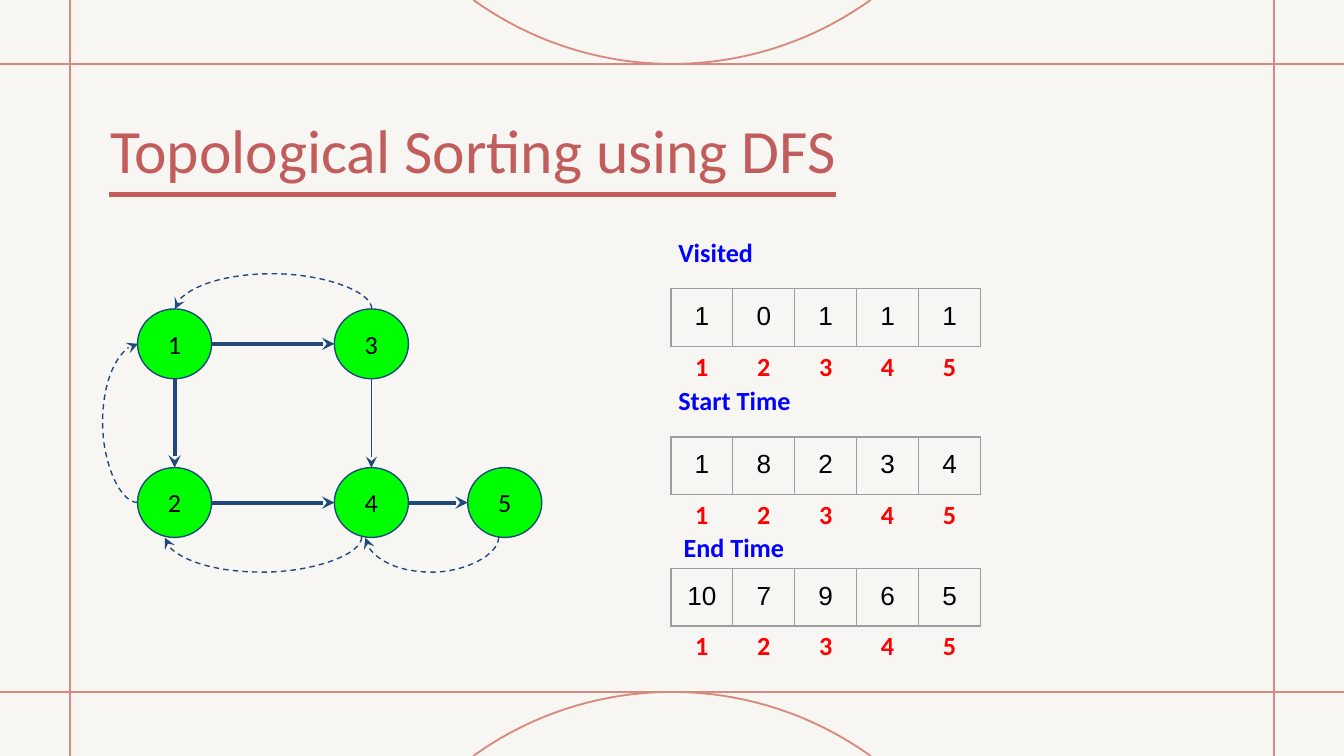
from dataclasses import dataclass
from math import asin, cos, sin

from lxml.etree import SubElement
from pptx import Presentation
from pptx.dml.color import RGBColor as Rgb
from pptx.enum.dml import MSO_LINE
from pptx.enum.shapes import MSO_CONNECTOR as Link, MSO_SHAPE as Preset
from pptx.enum.text import MSO_ANCHOR as Anchor, PP_ALIGN as Align
from pptx.oxml.ns import qn
from pptx.util import Cm, Pt


@dataclass(frozen=True)
class Theme:
    paper: Rgb = Rgb(0xF8, 0xF6, 0xF2)
    frame: Rgb = Rgb(0xD8, 0x89, 0x7E)
    accent: Rgb = Rgb(0xC2, 0x5D, 0x5D)
    node: Rgb = Rgb(0x00, 0xFF, 0x00)
    edge: Rgb = Rgb(0x1F, 0x49, 0x7D)
    ink: Rgb = Rgb(0x00, 0x00, 0x00)
    label: Rgb = Rgb(0x00, 0x00, 0xFF)
    index: Rgb = Rgb(0xFF, 0x00, 0x00)
    grid: Rgb = Rgb(0x9E, 0x9E, 0x9E)
    title_size: float = 33
    body_size: float = 14
    thin: float = 0.75
    thick: float = 2.25
    text_font: str = "Calibri"
    cell_font: str = "Arial"


@dataclass(frozen=True)
class Node:
    name: str
    x: float
    y: float


@dataclass(frozen=True)
class TimeArray:
    label: str
    label_x: float
    label_width: float
    top: float
    values: tuple[int, ...]


THEME = Theme()
WIDTH, HEIGHT = 25.4, 14.29
INSET = 0.25
NODE_W, NODE_H = 1.4, 1.32
ARC_DEPTH = 0.66
CELL_W, CELL_H, ARRAY_LEFT = 1.17, 1.09, 12.68
LABEL_TOP, LABEL_STEP, LABEL_H = 4.22, 2.79, 1.47
INDEX_LEFT, INDEX_W, INDEX_DROP = 12.09, 6.73, 0.91

# Node centres of the graph
NODES = {n.name: n for n in (
    Node("1", 3.3, 6.5), Node("3", 7.02, 6.5), Node("2", 3.3, 9.5),
    Node("4", 7.02, 9.5), Node("5", 9.54, 9.5))}
TREE_EDGES = (("1", "3", THEME.thick), ("1", "2", THEME.thick),
              ("2", "4", THEME.thick), ("3", "4", THEME.thin),
              ("4", "5", THEME.thick))
# Returns: from, to, sideways shift, side of the nodes (1 below, -1 above)
RETURNS = (("5", "4", -0.12, 1), ("4", "2", -0.19, 1), ("3", "1", 0, -1))
ARRAYS = (TimeArray("Visited", 12.57, 2.03, 5.46, (1, 0, 1, 1, 1)),
          TimeArray("Start Time", 12.57, 2.69, 8.26, (1, 8, 2, 3, 4)),
          TimeArray("End Time", 12.67, 3.02, 10.74, (10, 7, 9, 6, 5)))


def style_text(paragraph, color: Rgb, size: float = THEME.body_size,
               face: str = THEME.text_font, bold: bool = False) -> None:
    font = paragraph.font
    font.name, font.size, font.bold = face, Pt(size), bold
    font.color.rgb = color


def set_insets(frame, inset: float) -> None:
    frame.margin_left = frame.margin_right = Cm(inset)
    frame.margin_top = frame.margin_bottom = Cm(inset)


def add_text(slide, text: str, x: float, y: float, w: float, h: float,
             inset: float = INSET):
    frame = slide.shapes.add_textbox(Cm(x), Cm(y), Cm(w), Cm(h)).text_frame
    frame.word_wrap = True
    set_insets(frame, inset)
    frame.text = text
    return frame.paragraphs[0]


def add_line(slide, x1: float, y1: float, x2: float, y2: float, color: Rgb,
             width: float, arrow: bool = False, kind=Link.STRAIGHT):
    line = slide.shapes.add_connector(kind, Cm(x1), Cm(y1), Cm(x2), Cm(y2))
    line.line.color.rgb = color
    line.line.width = Pt(width)
    if arrow:
        SubElement(line.line._get_or_add_ln(), qn("a:tailEnd"), type="stealth")
    SubElement(line._element.spPr, qn("a:effectLst"))
    return line


def add_return(slide, x: float, y1: float, y2: float, bulge: float,
               turned: bool = False) -> None:
    """Dashed curve beside a thin upright box, optionally turned to lie flat."""
    box = 0.01
    curve = add_line(slide, x, y1, x + box, y2, THEME.edge, THEME.thin,
                     arrow=True, kind=Link.CURVE)
    curve.line.dash_style = MSO_LINE.DASH
    properties = curve._element.spPr
    if turned:
        properties.find(qn("a:xfrm")).set("rot", str(90 * 60000))
    guides = properties.find(qn("a:prstGeom")).get_or_add_avLst()
    SubElement(guides, qn("a:gd"), name="adj1",
               fmla=f"val {round(bulge / box * 100000)}")


def add_frame_arc(slide, tangent_y: float, edge_y: float) -> None:
    """Part of a circle from the slide edge to its tangent frame line."""
    radius, steps = 6.43, 40
    depth = abs(tangent_y - edge_y)
    side = 1 if tangent_y > edge_y else -1
    reach = asin((2 * radius * depth - depth ** 2) ** 0.5 / radius)
    angles = [reach * (2 * i / steps - 1) for i in range(steps + 1)]
    points = [(Cm(WIDTH / 2 + radius * sin(a)),
               Cm(tangent_y - side * radius * (1 - cos(a)))) for a in angles]
    builder = slide.shapes.build_freeform(*points[0])
    builder.add_line_segments(points[1:], close=False)
    arc = builder.convert_to_shape()
    arc.shadow.inherit = False
    arc.fill.background()
    arc.line.color.rgb, arc.line.width = THEME.frame, Pt(1)


def add_node(slide, node: Node) -> None:
    circle = slide.shapes.add_shape(
        Preset.OVAL, Cm(node.x - NODE_W / 2), Cm(node.y - NODE_H / 2),
        Cm(NODE_W), Cm(NODE_H))
    circle.shadow.inherit = False
    circle.fill.solid()
    circle.fill.fore_color.rgb = THEME.node
    circle.line.color.rgb, circle.line.width = THEME.edge, Pt(THEME.thin)
    frame = circle.text_frame
    set_insets(frame, INSET)
    frame.vertical_anchor = Anchor.MIDDLE
    frame.text = node.name
    frame.paragraphs[0].alignment = Align.CENTER
    style_text(frame.paragraphs[0], THEME.ink)


def add_tree_edge(slide, start: Node, end: Node, width: float) -> None:
    dx = NODE_W / 2 if start.y == end.y else 0
    dy = 0 if dx else NODE_H / 2
    add_line(slide, start.x + dx, start.y + dy, end.x - dx, end.y - dy,
             THEME.edge, width, arrow=True)


def fill_cell(cell, value: int) -> None:
    cell.fill.background()
    set_insets(cell, INSET)
    cell.text = str(value)
    paragraph = cell.text_frame.paragraphs[0]
    paragraph.alignment = Align.CENTER
    style_text(paragraph, THEME.ink, face=THEME.cell_font)
    properties = cell._tc.get_or_add_tcPr()
    for position, side in enumerate(("lnL", "lnR", "lnT", "lnB")):
        border = SubElement(properties, qn(f"a:{side}"), w=str(Pt(THEME.thin)))
        paint = SubElement(border, qn("a:solidFill"))
        SubElement(paint, qn("a:srgbClr"), val=str(THEME.grid))
        properties.insert(position, border)


def add_array(slide, array: TimeArray, label_top: float) -> None:
    count = len(array.values)
    table = slide.shapes.add_table(
        1, count, Cm(ARRAY_LEFT), Cm(array.top),
        Cm(CELL_W * count), Cm(CELL_H)).table
    table.first_row = table.horz_banding = False
    for column, value in enumerate(array.values):
        table.columns[column].width = Cm(CELL_W)
        fill_cell(table.cell(0, column), value)

    label = add_text(slide, array.label, array.label_x, label_top,
                     array.label_width, LABEL_H)
    style_text(label, THEME.label, bold=True)

    # Index digits sit on centred tabs below the cells
    digits = "".join(f"\t{i + 1}" for i in range(count))
    indices = add_text(slide, digits, INDEX_LEFT, array.top + INDEX_DROP,
                       INDEX_W, LABEL_H)
    tabs = SubElement(indices._p.get_or_add_pPr(), qn("a:tabLst"))
    for i in range(count):
        centre = ARRAY_LEFT + CELL_W * (i + 0.5) - INDEX_LEFT - INSET
        SubElement(tabs, qn("a:tab"), pos=str(Cm(centre)), algn="ctr")
    style_text(indices, THEME.index, bold=True)


def main() -> None:
    deck = Presentation()
    deck.slide_width, deck.slide_height = Cm(WIDTH), Cm(HEIGHT)
    slide = deck.slides.add_slide(deck.slide_layouts[6])
    slide.background.fill.solid()
    slide.background.fill.fore_color.rgb = THEME.paper

    # Court-like frame
    top, bottom = 1.21, 13.08
    for y in (bottom, top):
        add_line(slide, 0, y, WIDTH, y, THEME.frame, 1)
    for x in (24.08, 1.32):
        add_line(slide, x, 0, x, HEIGHT, THEME.frame, 1)
    add_frame_arc(slide, top, 0)
    add_frame_arc(slide, bottom, HEIGHT)

    # Title
    add_line(slide, 2.06, 3.68, 15.8, 3.68, THEME.accent, 3)
    title = add_text(slide, "Topological Sorting using DFS",
                     2.08, 2.11, 13.77, 1.42, inset=0)
    style_text(title, THEME.accent, THEME.title_size)

    # Graph
    for node in NODES.values():
        add_node(slide, node)
    for start, end, width in TREE_EDGES:
        add_tree_edge(slide, NODES[start], NODES[end], width)

    # Visited, start and end times
    for row, array in enumerate(ARRAYS):
        add_array(slide, array, LABEL_TOP + LABEL_STEP * row)

    # Backtracking
    for start, end, shift, side in RETURNS:
        right, left = NODES[start], NODES[end]
        middle = (right.x + left.x) / 2 + shift
        half = (right.x - left.x) / 2
        y = right.y + side * NODE_H / 2
        add_return(slide, middle, y - half, y + half, side * ARC_DEPTH, True)
    add_return(slide, NODES["2"].x - NODE_W / 2, NODES["2"].y, NODES["1"].y,
               -ARC_DEPTH)

    deck.save("out.pptx")


if __name__ == "__main__":
    main()
